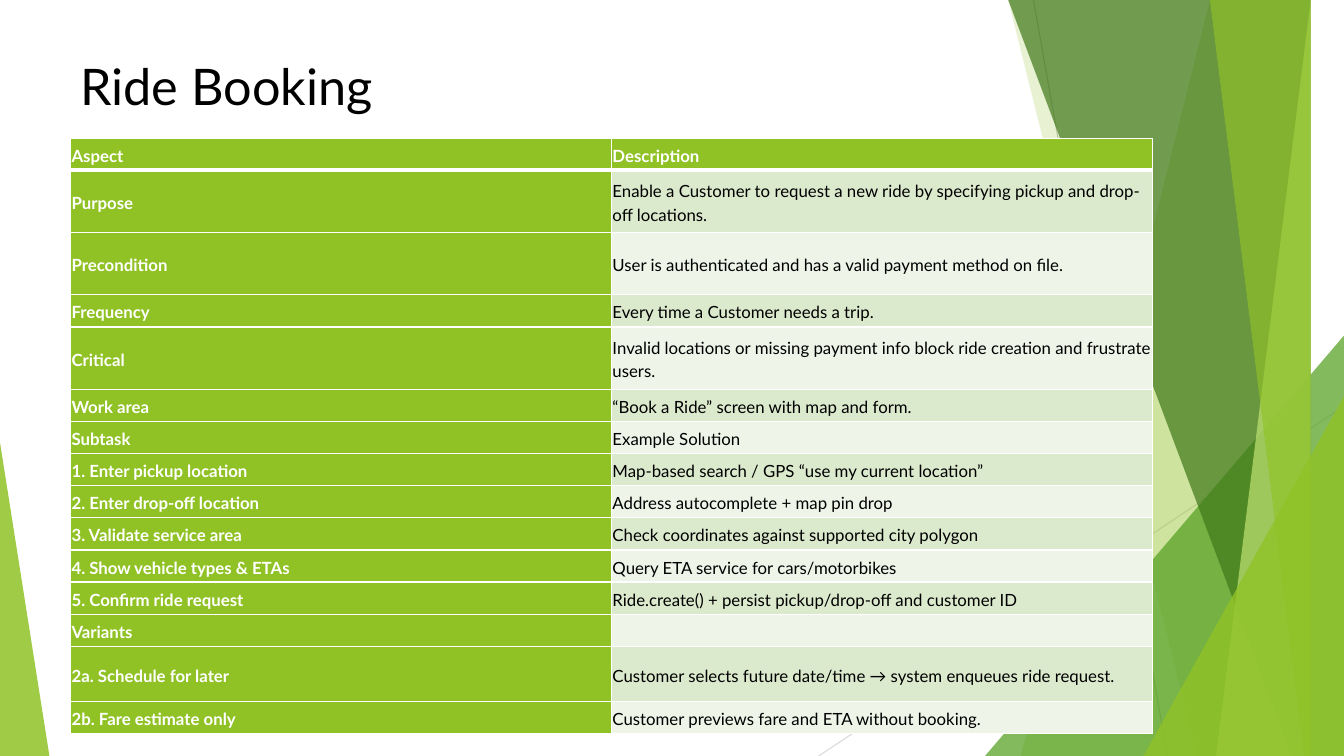
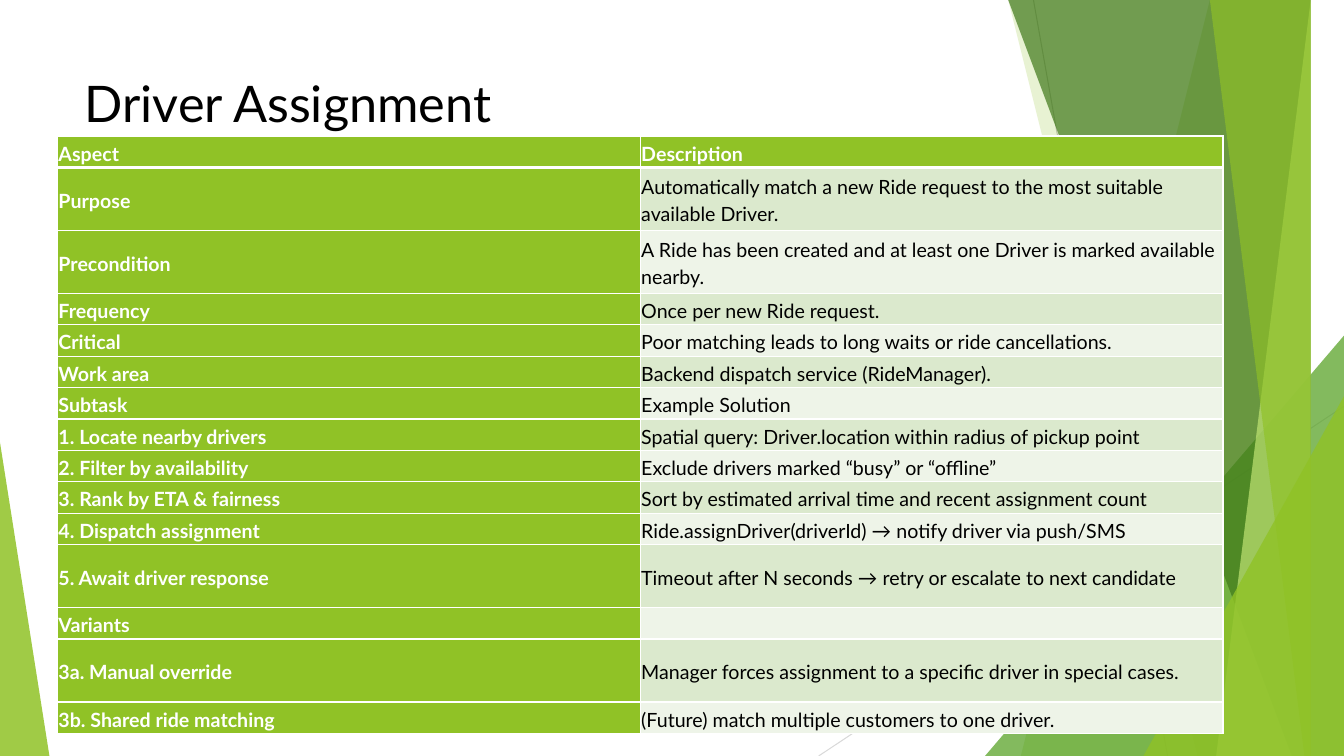
import pptx
import pptx.dml.color
import pptx.enum.shapes
import pptx.enum.text
import pptx.oxml.ns
import pptx.util
from lxml import etree

RGBColor = pptx.dml.color.RGBColor
Inches = pptx.util.Inches
Pt = pptx.util.Pt
qn = pptx.oxml.ns.qn

# Shared look
WIDTH, HEIGHT = 13.33, 7.5
FONT = "Lato"
BLACK = RGBColor(0x00, 0x00, 0x00)
WHITE = RGBColor(0xFF, 0xFF, 0xFF)
GREEN = RGBColor(0x90, 0xC2, 0x26)
LEAF = RGBColor(0x54, 0xA0, 0x21)
FOREST = RGBColor(0x3F, 0x78, 0x19)
LIME = RGBColor(0xC0, 0xE4, 0x74)
BAND_DARK = RGBColor(0xDB, 0xE9, 0xCD)
BAND_LIGHT = RGBColor(0xEE, 0xF4, 0xE8)
GREY = RGBColor(0xBF, 0xBF, 0xBF)
LIGHT_GREY = RGBColor(0xD9, 0xD9, 0xD9)

# Thin lines: start, end, colour
RAYS = [
    ((10.25, 0), (11.58, HEIGHT), GREY),
    ((WIDTH, 4.03), (8.12, HEIGHT), LIGHT_GREY),
]
# Translucent facets from back to front, with colour and opacity in percent
# band: top x, bottom x (it reaches the right edge)
# triangle: left, top, width, peak (it stands on the bottom edge)
FACETS = [
    ("band", (12.28, 10.04), GREEN, 30),
    ("band", (10.5, 11.83), GREEN, 20),
    ("triangle", (9.77, 3.33, 3.56, 1), LEAF, 72),
    ("band", (10.21, 12.91), FOREST, 70),
    ("band", (13.03, 11.92), LIME, 70),
    ("band", (11.96, 13.18), GREEN, 65),
    ("triangle", (11.34, 3.93, 1.99, 1), GREEN, 80),
    ("triangle", (0, 4.39, 0.49, 0), GREEN, 85),
]

# Slide contents; each table row is aspect, description, relative height
SLIDES = [
    {
        "title": "Ride Booking",
        "title_at": (0.7, 0.5),
        "table_at": (0.7, 1.37, 10.73, 5.91),
        "size": 12,
        "rows": [
            ("Aspect", "Description", 32),
            ("Purpose", "Enable a Customer to request a new ride by specifying pickup and drop-off locations.", 62),
            ("Precondition", "User is authenticated and has a valid payment method on file.", 62),
            ("Frequency", "Every time a Customer needs a trip.", 32),
            ("Critical", "Invalid locations or missing payment info block ride creation and frustrate users.", 62),
            ("Work area", "“Book a Ride” screen with map and form.", 32),
            ("Subtask", "Example Solution", 32),
            ("1. Enter pickup location", "Map-based search / GPS “use my current location”", 32),
            ("2. Enter drop-off location", "Address autocomplete + map pin drop", 32),
            ("3. Validate service area", "Check coordinates against supported city polygon", 32),
            ("4. Show vehicle types & ETAs", "Query ETA service for cars/motorbikes", 32),
            ("5. Confirm ride request", "Ride.create() + persist pickup/drop-off and customer ID", 32),
            ("Variants", "", 32),
            ("2a. Schedule for later", "Customer selects future date/time → system enqueues ride request.", 55),
            ("2b. Fare estimate only", "Customer previews fare and ETA without booking.", 32),
        ],
    },
    {
        "title": "Driver Assignment",
        "title_at": (0.74, 0.67),
        "table_at": (0.57, 1.35, 11.56, 5.93),
        "size": 14,
        "rows": [
            ("Aspect", "Description", 1),
            ("Purpose", "Automatically match a new Ride request to the most suitable available Driver.", 2),
            ("Precondition", "A Ride has been created and at least one Driver is marked available nearby.", 2),
            ("Frequency", "Once per new Ride request.", 1),
            ("Critical", "Poor matching leads to long waits or ride cancellations.", 1),
            ("Work area", "Backend dispatch service (RideManager).", 1),
            ("Subtask", "Example Solution", 1),
            ("1. Locate nearby drivers", "Spatial query: Driver.location within radius of pickup point", 1),
            ("2. Filter by availability", "Exclude drivers marked “busy” or “offline”", 1),
            ("3. Rank by ETA & fairness", "Sort by estimated arrival time and recent assignment count", 1),
            ("4. Dispatch assignment", "Ride.assignDriver(driverId) → notify driver via push/SMS", 1),
            ("5. Await driver response", "Timeout after N seconds → retry or escalate to next candidate", 2),
            ("Variants", "", 1),
            ("3a. Manual override", "Manager forces assignment to a specific driver in special cases.", 2),
            ("3b. Shared ride matching", "(Future) match multiple customers to one driver.", 1),
        ],
    },
]


def add_text(paragraph, text, size, color, bold=False):
    run = paragraph.add_run()
    run.text = text
    run.font.name = FONT
    run.font.size = Pt(size)
    run.font.bold = bold
    run.font.color.rgb = color


def add_border(cell, side, points):
    line = etree.SubElement(cell._tc.get_or_add_tcPr(), qn("a:ln" + side), w=str(Pt(points)))
    fill = etree.SubElement(line, qn("a:solidFill"))
    etree.SubElement(fill, qn("a:srgbClr"), val=str(WHITE))


presentation = pptx.Presentation()
presentation.slide_width = Inches(WIDTH)
presentation.slide_height = Inches(HEIGHT)

for content in SLIDES:
    slide = presentation.slides.add_slide(presentation.slide_layouts[6])

    # Background lines
    for start, end, color in RAYS:
        ray = slide.shapes.add_connector(
            pptx.enum.shapes.MSO_CONNECTOR.STRAIGHT, *map(Inches, start + end))
        ray.line.color.rgb = color
        ray.line.width = Pt(0.75)
        etree.SubElement(ray._element.spPr, qn("a:effectLst"))

    # Background facets
    for kind, geometry, color, opacity in FACETS:
        if kind == "band":
            top_x, bottom_x = geometry
            builder = slide.shapes.build_freeform(top_x, 0, scale=Inches(1))
            builder.add_line_segments([(WIDTH, 0), (WIDTH, HEIGHT), (bottom_x, HEIGHT)])
            shape = builder.convert_to_shape()
        else:
            left, top, width, peak = geometry
            shape = slide.shapes.add_shape(
                pptx.enum.shapes.MSO_SHAPE.ISOSCELES_TRIANGLE,
                *map(Inches, (left, top, width, HEIGHT - top)))
            shape.adjustments[0] = peak
        shape.shadow.inherit = False
        shape.line.fill.background()
        shape.fill.solid()
        shape.fill.fore_color.rgb = color
        color_element = shape._element.spPr.find(".//" + qn("a:srgbClr"))
        etree.SubElement(color_element, qn("a:alpha"), val=str(opacity * 1000))

    # Title
    title = slide.shapes.add_textbox(*map(Inches, content["title_at"] + (9.4, 1.44)))
    title.text_frame.word_wrap = True
    add_text(title.text_frame.paragraphs[0], content["title"], 36, BLACK)

    # Table with equal columns and rows in proportion to their weights
    rows = content["rows"]
    left, top, width, height = content["table_at"]
    table = slide.shapes.add_table(
        len(rows), 2, *map(Inches, (left, top, width, height))).table
    for column in table.columns:
        column.width = Inches(width / 2)
    total_weight = sum(weight for _, _, weight in rows)

    for row_index, (aspect, description, weight) in enumerate(rows):
        table.rows[row_index].height = Inches(height * weight / total_weight)
        for column_index, text in enumerate((aspect, description)):
            cell = table.cell(row_index, column_index)
            is_heading = row_index == 0 or column_index == 0

            # Borders, with a thick rule under the header row
            for side in "LRTB":
                under_header = (row_index, side) in ((0, "B"), (1, "T"))
                add_border(cell, side, 3 if under_header else 1)

            cell.fill.solid()
            if is_heading:
                cell.fill.fore_color.rgb = GREEN
            else:
                cell.fill.fore_color.rgb = BAND_DARK if row_index % 2 else BAND_LIGHT

            cell.margin_left = cell.margin_right = Inches(0.01)
            cell.margin_top = cell.margin_bottom = Inches(0.01)
            cell.vertical_anchor = pptx.enum.text.MSO_ANCHOR.MIDDLE
            paragraph = cell.text_frame.paragraphs[0]
            paragraph.line_spacing = 1.15
            paragraph.space_after = Pt(8)
            if text:
                add_text(paragraph, text, content["size"],
                         WHITE if is_heading else BLACK, is_heading)
            else:
                # Keep the empty cell from stretching its row
                etree.SubElement(paragraph._p, qn("a:endParaRPr"),
                                 sz=str(content["size"] * 100))

presentation.save("out.pptx")
